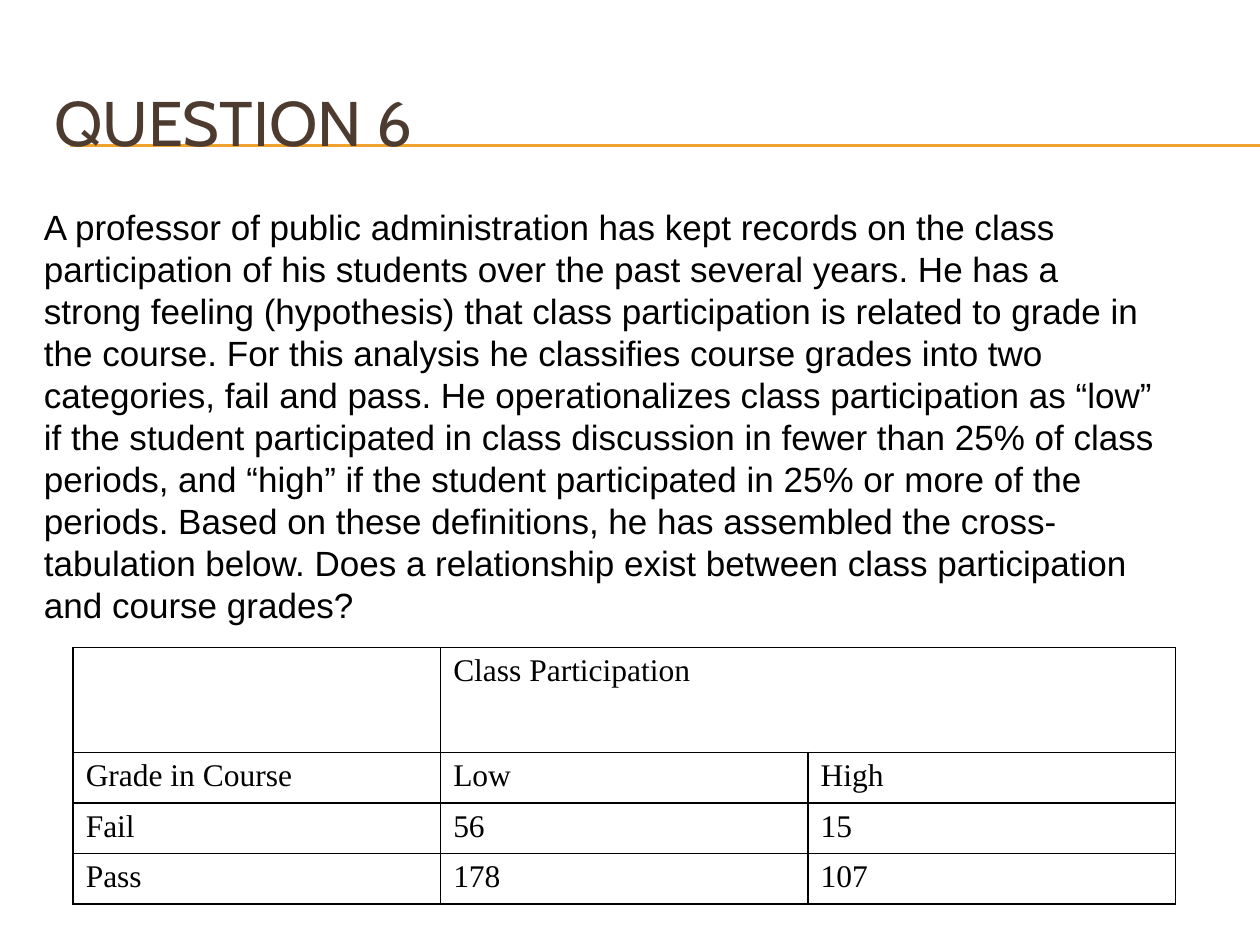
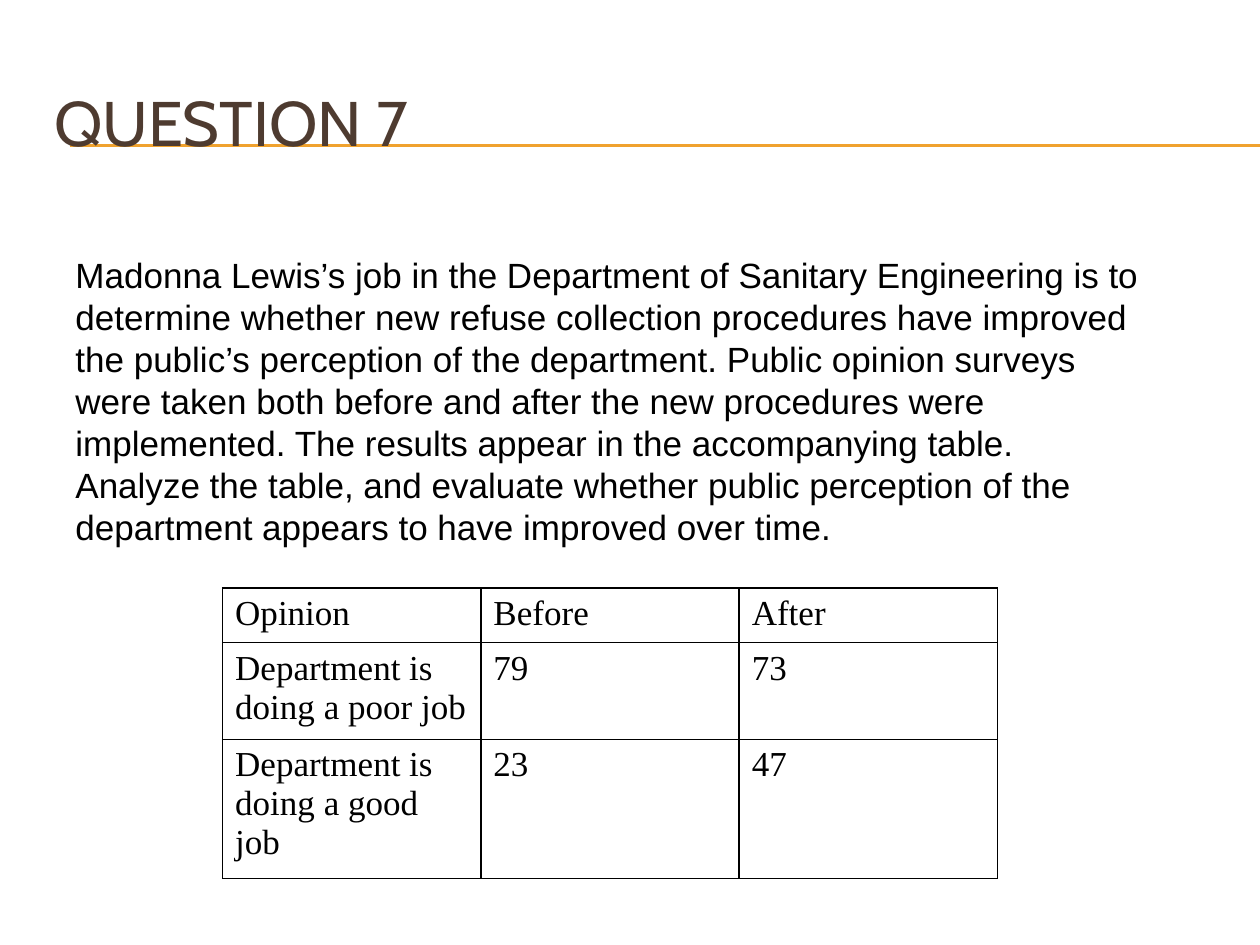
"""Build two statistics question slides, each with a prompt and a cross-tabulation."""
from dataclasses import dataclass

from lxml import etree
from pptx import Presentation
from pptx.dml.color import RGBColor
from pptx.enum.shapes import MSO_CONNECTOR
from pptx.enum.text import MSO_ANCHOR
from pptx.oxml.ns import qn
from pptx.util import Pt

STRAIGHT = MSO_CONNECTOR.STRAIGHT
TOP, MIDDLE = MSO_ANCHOR.TOP, MSO_ANCHOR.MIDDLE

COLORS = {"title": "4E3B30", "rule": "F0A22E", "text": "000000", "border": "000000"}
TITLE_FONT, BODY_FONT, TABLE_FONT = "Cabin", "Arial", "Times New Roman"
PAGE_WIDTH, PAGE_HEIGHT = 720, 540
RULE_LEFT, RULE_TOPS = 40.3, (82.8, 83.5)
TITLE_AREA = (23.8, 36, 684, 66.2)
BORDER_SIDES = ("a:lnL", "a:lnR", "a:lnT", "a:lnB")


@dataclass(frozen=True)
class CrossTab:
    left: float
    top: float
    column_width: float
    row_heights: tuple[float, ...]
    size: int
    rows: tuple[tuple[str, ...], ...]
    header_spans: bool = False


@dataclass(frozen=True)
class Question:
    title: str
    prompt: str
    prompt_area: tuple[float, float, float, float]
    crosstab: CrossTab


QUESTIONS = (
    Question(
        "QUESTION 6",
        "A professor of public administration has kept records on the class participation "
        "of his students over the past several years. He has a strong feeling (hypothesis) "
        "that class participation is related to grade in the course. For this analysis he "
        "classifies course grades into two categories, fail and pass. He operationalizes "
        "class participation as “low” if the student participated in class discussion in "
        "fewer than 25% of class periods, and “high” if the student participated in 25% or "
        "more of the periods. Based on these definitions, he has assembled the "
        "cross-tabulation below. Does a relationship exist between class participation and "
        "course grades?",
        (18, 113.8, 653.8, 290.2),
        CrossTab(41.8, 370, 210, (60, 28.8, 28.8, 28.8), 18, (
            ("", "Class Participation", ""),
            ("Grade in Course", "Low", "High"),
            ("Fail", "56", "15"),
            ("Pass", "178", "107"),
        ), header_spans=True),
    ),
    Question(
        "QUESTION 7",
        "Madonna Lewis’s job in the Department of Sanitary Engineering is to determine "
        "whether new refuse collection procedures have improved the public’s perception of "
        "the department. Public opinion surveys were taken both before and after the new "
        "procedures were implemented. The results appear in the accompanying table. Analyze "
        "the table, and evaluate whether public perception of the department appears to "
        "have improved over time.",
        (36, 141.5, 624, 218.2),
        CrossTab(127.2, 336, 147.6, (31, 55.2, 79.4), 20, (
            ("Opinion", "Before", "After"),
            ("Department is doing a poor job", "79", "73"),
            ("Department is doing a good job", "23", "47"),
        )),
    ),
)


def write_text(frame, text: str, *, font: str, size: float, color: str) -> None:
    para = frame.paragraphs[0]
    span = para.add_run()
    span.text = text
    span.font.name = font
    span.font.size = Pt(size)
    span.font.color.rgb = RGBColor.from_string(COLORS[color])


def add_text(page, area: tuple[float, ...], text: str, *, anchor, **text_format) -> None:
    box = page.shapes.add_textbox(*map(Pt, area))
    box.text_frame.word_wrap = True
    box.text_frame.vertical_anchor = anchor
    write_text(box.text_frame, text, **text_format)


def add_rule(page, top: float) -> None:
    rule = page.shapes.add_connector(STRAIGHT, Pt(RULE_LEFT), Pt(top), Pt(PAGE_WIDTH), Pt(top))
    rule.line.color.rgb = RGBColor.from_string(COLORS["rule"])
    rule.line.width = Pt(0.75)
    etree.SubElement(rule._element.spPr, qn("a:effectLst"))


def add_borders(cell) -> None:
    properties = cell._tc.get_or_add_tcPr()
    for side in BORDER_SIDES:
        border = etree.SubElement(properties, qn(side), w=str(Pt(1)))
        fill = etree.SubElement(border, qn("a:solidFill"))
        etree.SubElement(fill, qn("a:srgbClr"), val=COLORS["border"])


def add_crosstab(page, crosstab: CrossTab) -> None:
    row_count, column_count = len(crosstab.rows), len(crosstab.rows[0])
    table = page.shapes.add_table(
        row_count, column_count, Pt(crosstab.left), Pt(crosstab.top),
        Pt(crosstab.column_width * column_count), Pt(sum(crosstab.row_heights)),
    ).table
    table.first_row = table.horz_banding = False
    for column in table.columns:
        column.width = Pt(crosstab.column_width)
    for row, height, labels in zip(table.rows, crosstab.row_heights, crosstab.rows):
        row.height = Pt(height)
        for cell, label in zip(row.cells, labels):
            add_borders(cell)
            cell.fill.background()
            if label:
                write_text(cell.text_frame, label, font=TABLE_FONT,
                           size=crosstab.size, color="text")
    if crosstab.header_spans:
        table.cell(0, 1).merge(table.cell(0, column_count - 1))


def add_question(deck, question: Question) -> None:
    page = deck.slides.add_slide(deck.slide_layouts[6])
    for top in RULE_TOPS:
        add_rule(page, top)
    add_text(page, TITLE_AREA, question.title, anchor=MIDDLE,
             font=TITLE_FONT, size=36, color="title")
    add_text(page, question.prompt_area, question.prompt, anchor=TOP,
             font=BODY_FONT, size=20, color="text")
    add_crosstab(page, question.crosstab)


def main() -> None:
    deck = Presentation()
    deck.slide_width, deck.slide_height = Pt(PAGE_WIDTH), Pt(PAGE_HEIGHT)
    for question in QUESTIONS:
        add_question(deck, question)
    deck.save("out.pptx")


if __name__ == "__main__":
    main()
